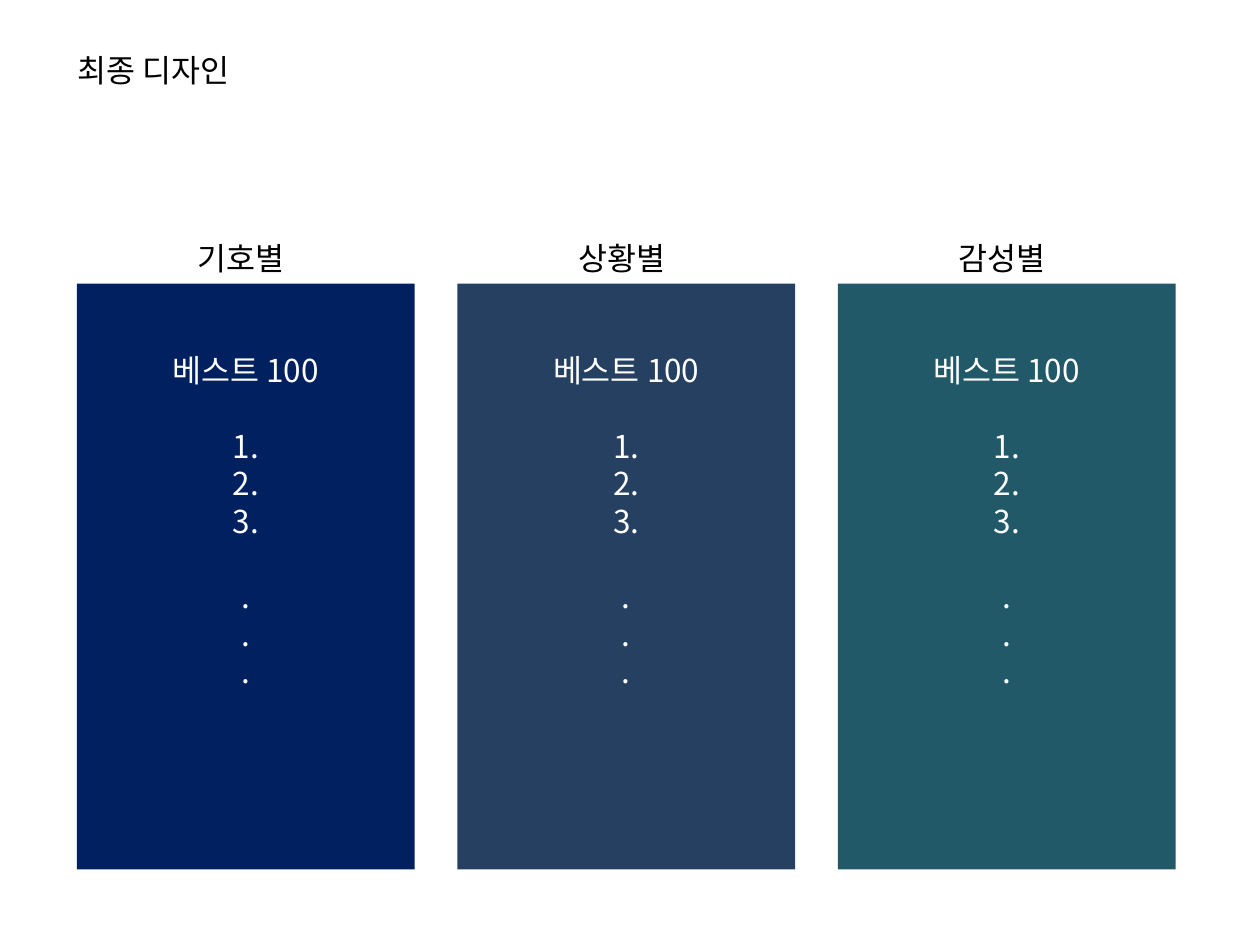
"""Build the final design slide with three ranked list panels."""
from dataclasses import dataclass

from lxml.etree import SubElement
from pptx import Presentation
from pptx.dml.color import RGBColor
from pptx.enum.shapes import MSO_SHAPE as Shape
from pptx.enum.text import MSO_ANCHOR as Anchor, MSO_AUTO_SIZE as AutoSize, PP_ALIGN as Align
from pptx.oxml.ns import qn
from pptx.util import Cm, Pt

COLORS = {
    "navy": "002060",
    "slate": "254061",
    "teal": "215968",
    "black": "000000",
    "white": "FFFFFF",
}
FONT = "Noto Sans CJK KR"
LINE = Pt(21.5)
LEFT, TOP, WIDTH, HEIGHT, PITCH = 1.55, 5.72, 6.81, 11.81, 7.67
LABEL_TOP, LABEL_WIDTH, LABEL_HEIGHT = 4.7, 2.44, 1.02


@dataclass
class Panel:
    label: str
    color: str


@dataclass
class Line:
    text: str
    gap_before: bool = False


PANELS = [Panel("기호별", "navy"), Panel("상황별", "slate"), Panel("감성별", "teal")]
RANKING = [
    Line("베스트 100"),
    Line("1.", True), Line("2."), Line("3."),
    Line(".", True), Line("."), Line("."),
]


def write_line(para, line: Line, color: str, align: Align) -> None:
    """Write one line of text into a paragraph."""
    para.alignment = align
    para.line_spacing = LINE
    para.space_before = LINE if line.gap_before else Pt(0)
    span = para.add_run()
    span.text = line.text
    span.font.size = Pt(18)
    span.font.name = FONT
    span.font.color.rgb = RGBColor.from_string(COLORS[color])
    SubElement(span.font._element, qn("a:ea")).set("typeface", FONT)


def set_frame(frame, wrap: bool) -> None:
    """Anchor a text frame at the top with a fixed size."""
    frame.auto_size = AutoSize.NONE
    frame.vertical_anchor = Anchor.TOP
    frame.word_wrap = wrap


def add_title(page, text: str) -> None:
    """Place and format the slide title."""
    box = page.shapes.title
    box.left, box.top, box.width, box.height = Cm(1.3), Cm(0.91), Cm(3.94), Cm(1.02)
    set_frame(box.text_frame, False)
    write_line(box.text_frame.paragraphs[0], Line(text), "black", Align.LEFT)


def add_panel(page, panel: Panel, left: float) -> None:
    """Draw a coloured panel with its ranking list."""
    box = page.shapes.add_shape(Shape.RECTANGLE, Cm(left), Cm(TOP), Cm(WIDTH), Cm(HEIGHT))
    box.shadow.inherit = False
    box.fill.solid()
    box.fill.fore_color.rgb = RGBColor.from_string(COLORS[panel.color])
    box.line.fill.background()
    frame = box.text_frame
    set_frame(frame, True)
    frame.margin_top = Cm(1.37)
    for index, line in enumerate(RANKING):
        para = frame.add_paragraph() if index else frame.paragraphs[0]
        write_line(para, line, "white", Align.CENTER)


def add_label(page, panel: Panel, left: float) -> None:
    """Write a category label centred above its panel."""
    box = page.shapes.add_textbox(
        Cm(left + (WIDTH - LABEL_WIDTH) / 2), Cm(LABEL_TOP), Cm(LABEL_WIDTH), Cm(LABEL_HEIGHT))
    set_frame(box.text_frame, False)
    write_line(box.text_frame.paragraphs[0], Line(panel.label), "black", Align.LEFT)


def main() -> None:
    """Create and save the deck."""
    deck = Presentation()
    deck.slide_width, deck.slide_height = Cm(25.4), Cm(19.05)
    page = deck.slides.add_slide(deck.slide_layouts[5])
    add_title(page, "최종 디자인")
    for index, panel in enumerate(PANELS):
        left = LEFT + index * PITCH
        add_panel(page, panel, left)
        add_label(page, panel, left)
    deck.save("out.pptx")


if __name__ == "__main__":
    main()
